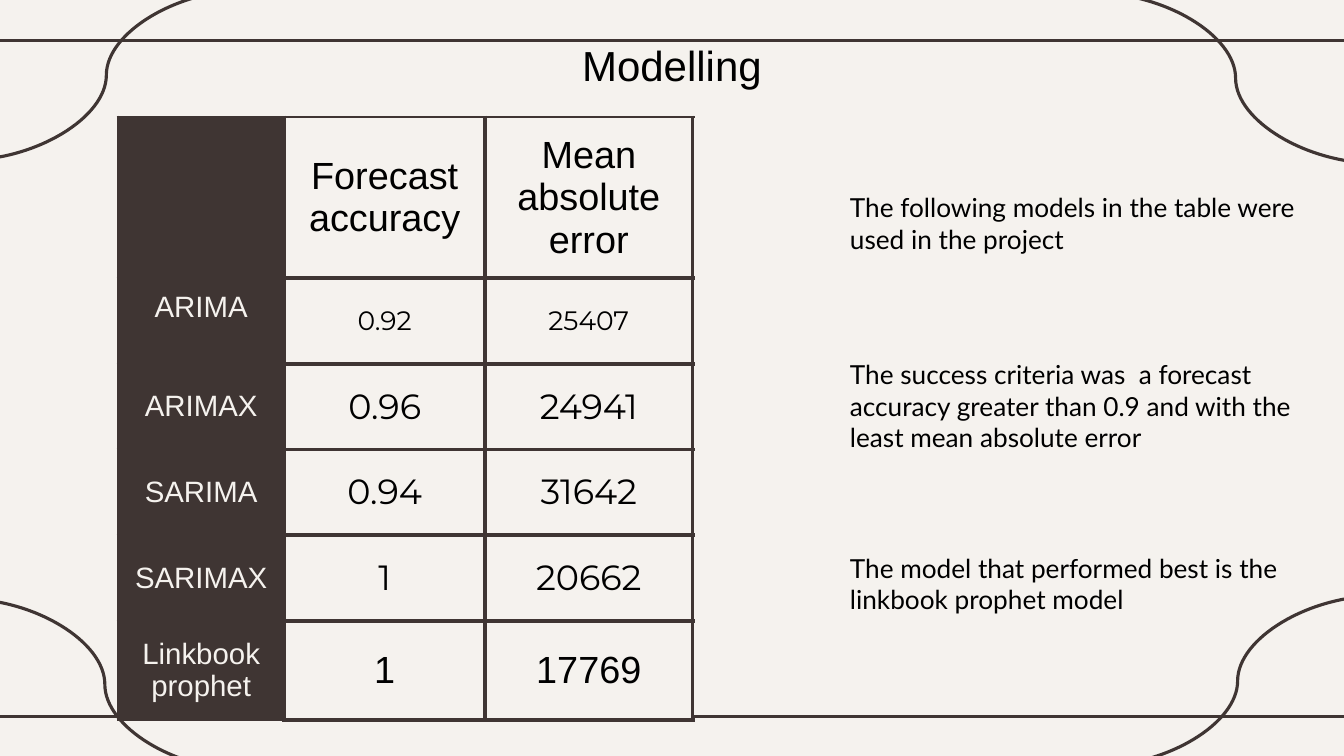
from lxml import etree
from pptx import Presentation
from pptx.dml.color import RGBColor
from pptx.enum.shapes import MSO_CONNECTOR
from pptx.enum.text import MSO_ANCHOR, PP_ALIGN
from pptx.oxml.ns import qn
from pptx.util import Inches, Pt

STRAIGHT, CURVE = MSO_CONNECTOR.STRAIGHT, MSO_CONNECTOR.CURVE
TOP, MIDDLE = MSO_ANCHOR.TOP, MSO_ANCHOR.MIDDLE
LEFT, CENTER = PP_ALIGN.LEFT, PP_ALIGN.CENTER

CREAM, BROWN, BLACK = "F5F2EE", "3F3533", "000000"
INSET = Inches(0.13)

TITLE = "Modelling"
RESULTS = [
    ("", "Forecast\naccuracy", "Mean absolute\nerror"),
    ("ARIMA", "0.92", "25407"),
    ("ARIMAX", "0.96", "24941"),
    ("SARIMA", "0.94", "31642"),
    ("SARIMAX", "1", "20662"),
    ("Linkbook\nprophet", "1", "17769"),
]
COLUMN_WIDTHS = [1.65, 1.99, 2.06]
ROW_HEIGHTS = [1.6, 0.85, 0.85, 0.85, 0.85, 0.98]
VALUE_FONTS = [("Arial", 27), ("Montserrat", 19), ("Montserrat", 25),
               ("Montserrat", 25), ("Montserrat", 25), ("Arial", 27)]
# (top, text)
REMARKS = [
    (1.77, "The following models in the table were used in the project"),
    (3.43, "The success criteria was  a forecast accuracy greater than 0.9 "
           "and with the least mean absolute error"),
    (5.35, "The model that performed best is the linkbook prophet model"),
]
# (kind, start x, start y, end x, end y)
FRAME_LINES = [
    (STRAIGHT, -0.11, 0.4, 13.44, 0.4),
    (STRAIGHT, -0.11, 7.11, 13.44, 7.11),
    (CURVE, -0.36, 5.94, 2.44, 7.64),
    (CURVE, 10.85, -0.07, 13.66, 1.62),
    (CURVE, 13.68, 5.91, 10.87, 7.6),
    (CURVE, 2.46, -0.1, -0.35, 1.59),
]


def color(hex_code):
    return RGBColor.from_string(hex_code)


def write(frame, text, font_name, size, hex_code, align):
    frame.text = text
    for paragraph in frame.paragraphs:
        paragraph.alignment = align
        paragraph.font.name = font_name
        paragraph.font.size = Pt(size)
        paragraph.font.color.rgb = color(hex_code)


def set_insets(holder):
    holder.margin_left = holder.margin_right = INSET
    holder.margin_top = holder.margin_bottom = INSET


def set_borders(cell, widths):
    """Draw the left, right, top and bottom borders, with widths in points."""
    properties = cell._tc.get_or_add_tcPr()
    for side, width in zip("LRTB", widths):
        border = etree.SubElement(properties, qn(f"a:ln{side}"), w=str(Pt(width)))
        fill = etree.SubElement(border, qn("a:solidFill"))
        etree.SubElement(fill, qn("a:srgbClr"), val=BROWN)


def add_frame_line(slide, kind, *ends):
    line = slide.shapes.add_connector(kind, *map(Inches, ends))
    line.line.color.rgb = color(BROWN)
    line.line.width = Pt(2.25)
    etree.SubElement(line._element.spPr, qn("a:effectLst"))


def add_title(slide):
    title = slide.shapes.title
    title.left, title.top = Inches(1.04), Inches(0.26)
    title.width, title.height = Inches(11.25), Inches(0.63)
    frame = title.text_frame
    set_insets(frame)
    frame.vertical_anchor = TOP
    write(frame, TITLE, "Arial", 30, BLACK, CENTER)
    frame.paragraphs[0].line_spacing = 1.0


def add_results(slide):
    table = slide.shapes.add_table(
        len(RESULTS), len(COLUMN_WIDTHS), Inches(1.17), Inches(1.16),
        Inches(sum(COLUMN_WIDTHS)), Inches(sum(ROW_HEIGHTS))).table
    table.first_row = table.horz_banding = False
    for column, width in zip(table.columns, COLUMN_WIDTHS):
        column.width = Inches(width)
    for r, values in enumerate(RESULTS):
        table.rows[r].height = Inches(ROW_HEIGHTS[r])
        for c, value in enumerate(values):
            cell = table.cell(r, c)
            is_label = c == 0
            set_insets(cell)
            cell.vertical_anchor = TOP if is_label and r == 1 else MIDDLE
            font_name, size = ("Arial", 21) if is_label else VALUE_FONTS[r]
            write(cell.text_frame, value, font_name, size,
                  CREAM if is_label else BLACK, CENTER)
            if is_label:
                set_borders(cell, (2.25, 3 if r > 1 else 2.25, 2.25, 2.25))
            else:
                left = 2.25 if c == 1 and r < 2 else 3
                set_borders(cell, (left, 3, 2.25 if r == 0 else 3, 3))
            cell.fill.solid()
            cell.fill.fore_color.rgb = color(BROWN if is_label else CREAM)


def add_remark(slide, top, text):
    box = slide.shapes.add_textbox(Inches(8.3), Inches(top), Inches(4.86), Inches(0.9))
    box.text_frame.word_wrap = True
    set_insets(box.text_frame)
    write(box.text_frame, text, "Lato", 18.7, BLACK, LEFT)


def main():
    deck = Presentation()
    deck.slide_width, deck.slide_height = Inches(13.33), Inches(7.5)
    slide = deck.slides.add_slide(deck.slide_layouts[5])
    slide.background.fill.solid()
    slide.background.fill.fore_color.rgb = color(CREAM)
    for frame_line in FRAME_LINES:
        add_frame_line(slide, *frame_line)
    add_title(slide)
    add_results(slide)
    for remark in REMARKS:
        add_remark(slide, *remark)
    deck.save("out.pptx")


if __name__ == "__main__":
    main()
